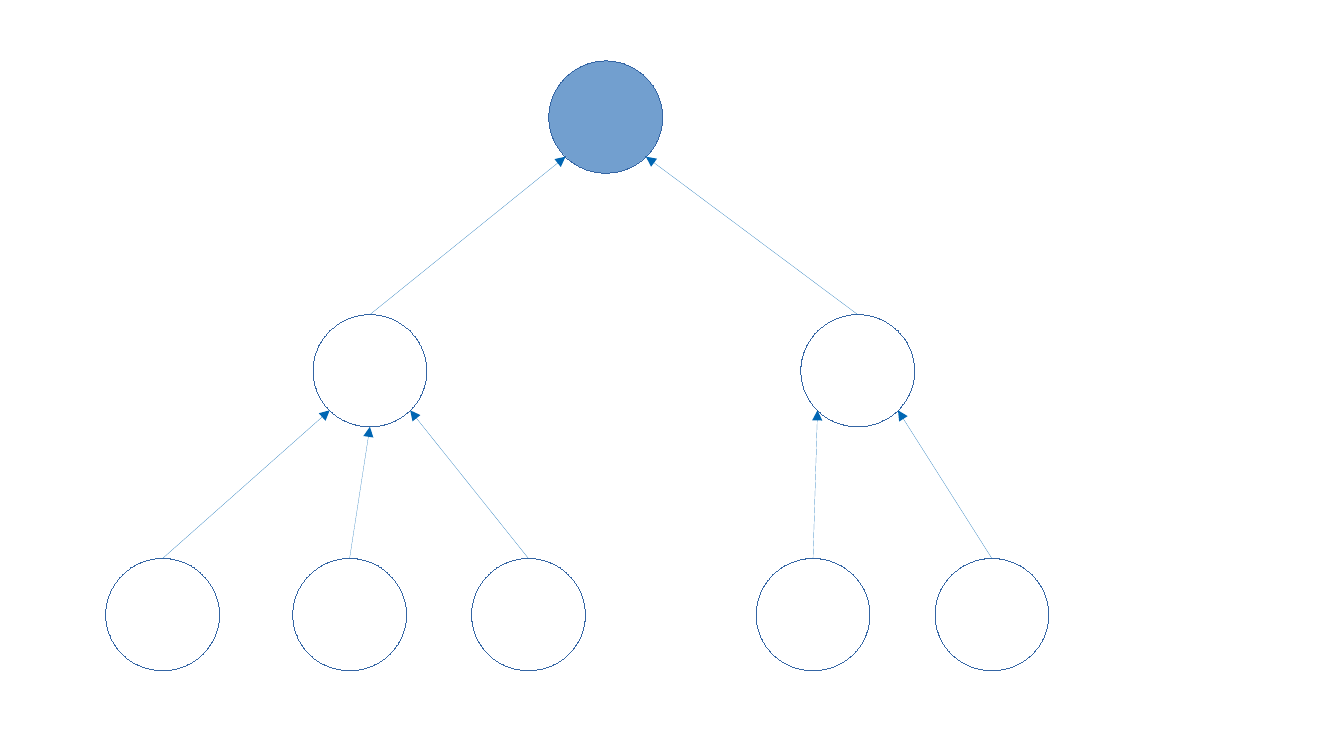
from math import cos, radians, sin

from lxml.etree import SubElement
from pptx import Presentation
from pptx.dml.color import RGBColor
from pptx.enum.shapes import MSO_CONNECTOR as Connector, MSO_SHAPE as Shape
from pptx.oxml.ns import qn
from pptx.util import Inches, Pt

ROOT_FILL = RGBColor(0x72, 0x9F, 0xCF)
NODE_FILL = RGBColor(0xFF, 0xFF, 0xFF)
OUTLINE = RGBColor(0x34, 0x65, 0xA4)
ARROW = RGBColor(0x00, 0x66, 0xB3)
HAIRLINE = Pt(0.01)

GRID = Inches(1) / 30
NODE_WIDTH, NODE_HEIGHT = 28, 27.6
ROOT_ROW, BRANCH_ROW, LEAF_ROW = 15, 77.4, 137.4
ROOT_COLUMN = 149
BRANCHES = {91: (40, 86, 130), 211: (200, 244)}
TOP_SITE, BOTTOM_LEFT, BOTTOM, BOTTOM_RIGHT = 0, 3, 4, 5


def grid(steps):
    """Convert grid steps to a slide length."""
    return round(steps * GRID)


def add_node(slide, column, row, fill=NODE_FILL):
    """Add a tree node centred on a column with its top on a row."""
    node = slide.shapes.add_shape(
        Shape.OVAL, grid(column - NODE_WIDTH / 2), grid(row),
        grid(NODE_WIDTH), grid(NODE_HEIGHT))
    node.shadow.inherit = False
    node.fill.solid()
    node.fill.fore_color.rgb = fill
    node.line.color.rgb = OUTLINE
    node.line.width = HAIRLINE
    return node


def site_position(node, site):
    """Return the point of an oval's connection site, counted from the top."""
    angle = radians(90 + 45 * site)
    return (round(node.left + node.width / 2 * (1 + cos(angle))),
            round(node.top + node.height / 2 * (1 - sin(angle))))


def add_arrow(slide, child, parent, site):
    """Join the top of a child to a connection site of its parent."""
    arrow = slide.shapes.add_connector(
        Connector.STRAIGHT, *site_position(child, TOP_SITE),
        *site_position(parent, site))
    arrow.begin_connect(child, TOP_SITE)
    joints = arrow.element.find(".//" + qn("p:cNvCxnSpPr"))
    SubElement(joints, qn("a:endCxn"), id=str(parent.shape_id), idx=str(site))
    arrow.line.color.rgb = ARROW
    arrow.line.width = HAIRLINE
    properties = arrow.element.spPr
    SubElement(properties.find(qn("a:ln")), qn("a:tailEnd"), type="triangle")
    SubElement(properties, qn("a:effectLst"))


def add_arrows(slide, children, parent):
    """Spread the arrows of two or three children over their parent's base."""
    sites = (BOTTOM_LEFT, BOTTOM, BOTTOM_RIGHT)
    if len(children) == 2:
        sites = (BOTTOM_LEFT, BOTTOM_RIGHT)
    for child, site in zip(children, sites):
        add_arrow(slide, child, parent, site)


def main():
    """Build the tree slide and save it."""
    presentation = Presentation()
    presentation.slide_width = Inches(11.02)
    presentation.slide_height = Inches(6.2)
    slide = presentation.slides.add_slide(presentation.slide_layouts[6])

    root = add_node(slide, ROOT_COLUMN, ROOT_ROW, fill=ROOT_FILL)
    branches = [add_node(slide, column, BRANCH_ROW) for column in BRANCHES]
    families = [[add_node(slide, column, LEAF_ROW) for column in columns]
                for columns in BRANCHES.values()]

    for branch, leaves in zip(branches, families):
        add_arrows(slide, leaves, branch)
    add_arrows(slide, branches, root)

    presentation.save("out.pptx")


if __name__ == "__main__":
    main()
